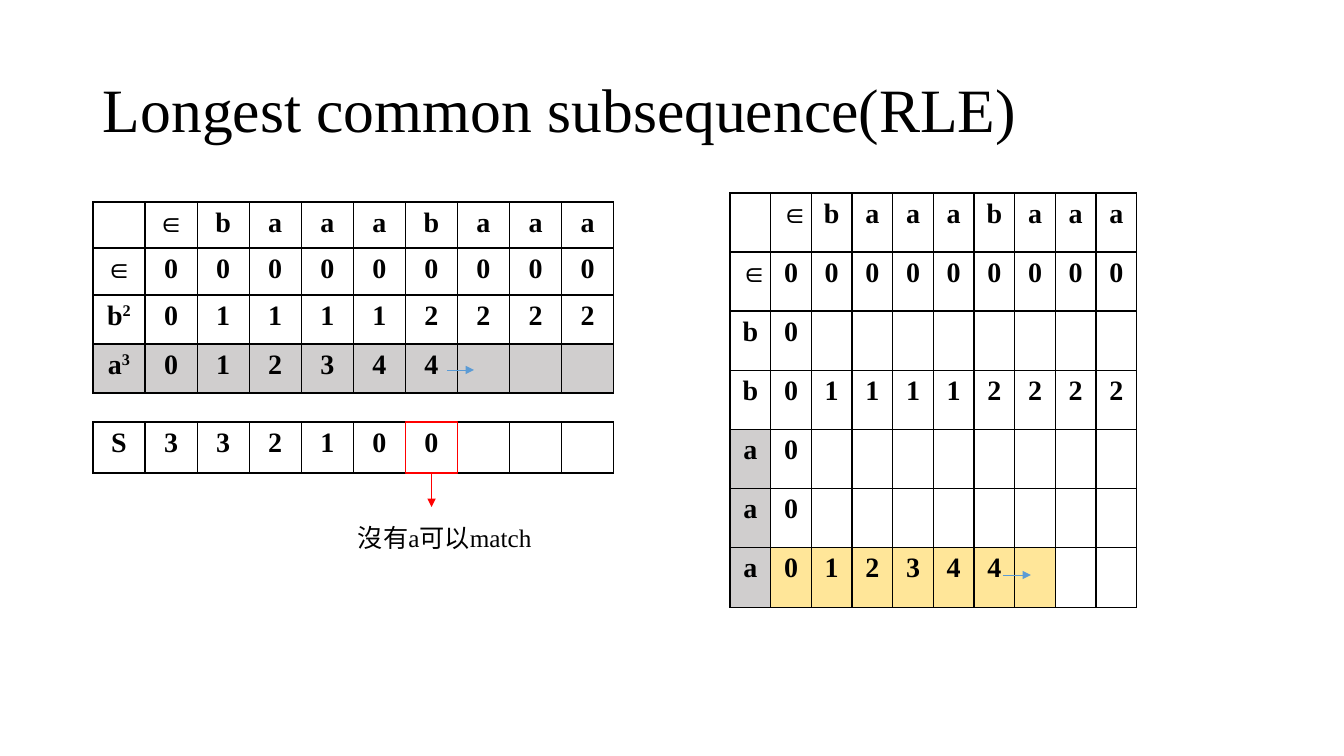
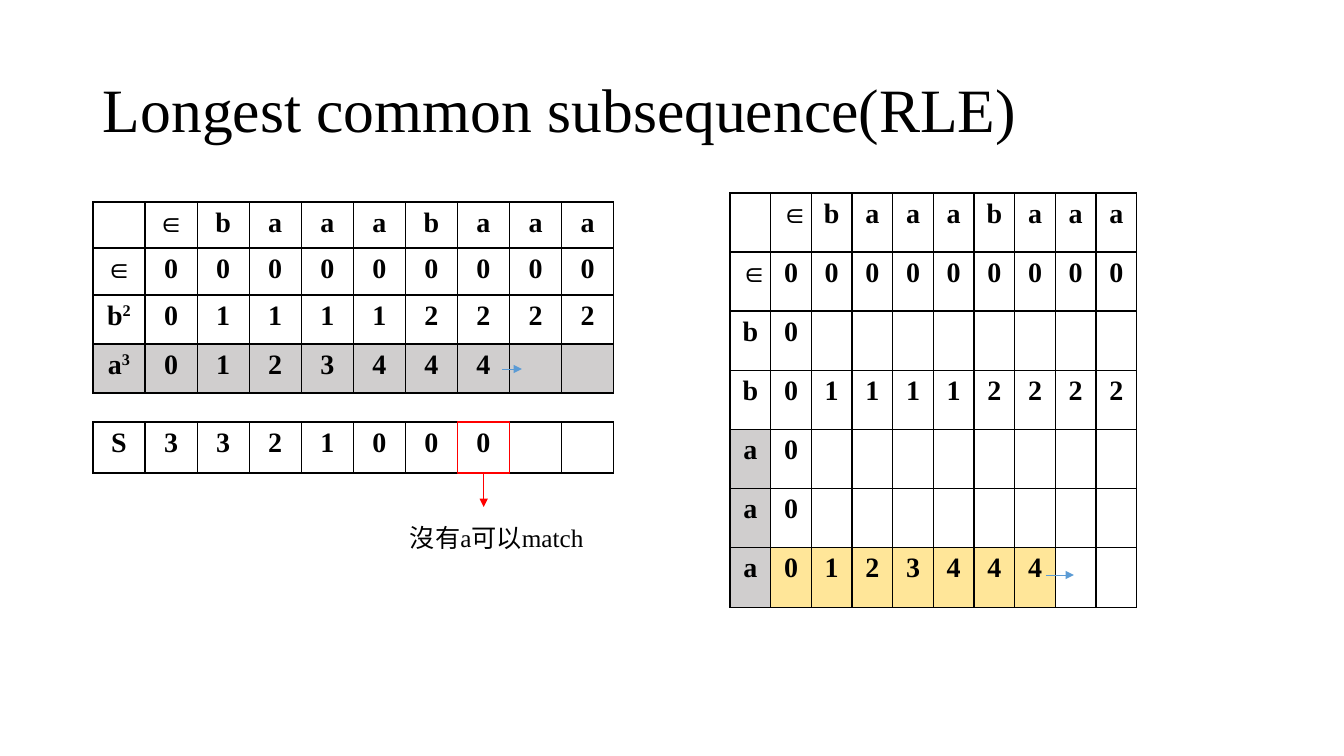
from dataclasses import dataclass
from lxml.etree import SubElement
from pptx import Presentation
from pptx.dml.color import RGBColor
from pptx.enum.shapes import MSO_CONNECTOR, MSO_SHAPE
from pptx.enum.text import MSO_ANCHOR, MSO_AUTO_SIZE, PP_ALIGN
from pptx.oxml.ns import qn
from pptx.util import Pt


@dataclass(frozen=True)
class Theme:
    font: str = "Times New Roman"
    black: str = "000000"
    gray: str = "D0CECE"
    gold: str = "FFE699"
    red: str = "FF0000"
    blue: str = "5B9BD5"
    title: int = 44
    cell: int = 20
    note: int = 18
    rule: float = 1
    thin: float = 0.5


THEME = Theme()
SIZE = (1344, 756)
SCALE = 12192000 / SIZE[0]

TITLE = "Longest common subsequence(RLE)"
NOTE = "沒有a可以match"
COLS = 10
HEAD = ["", *"∈baaabaaa"]
ZERO = [*"∈000000000"]
FULL = "011112222"

TITLE_BOX = (93, 40, 1159, 146)
RUN_GRID = (93, 202, 521)
RUN_ROWS = (46, 47, 49, 49)
SKIP_GRID = (93, 422, 521)
SKIP_ROWS = (51,)
FULL_GRID = (730, 193, 407)
FULL_ROWS = (59, 59, 60, 59, 59, 59, 60)
DROP_END = 507

SLIDES = [
    {"best": "012344", "skip": "332100", "mark": 6, "note": (348, 517, 319, 41),
     "steps": [(1003, 1031, 575), (447, 474, 370)]},
    {"best": "0123444", "skip": "3321000", "mark": 7, "note": (400, 517, 221, 41),
     "steps": [(502, 522, 369), (1046, 1074, 575)]},
]


def px(*nums):
    return [round(n * SCALE) for n in nums]


def color(code):
    return RGBColor.from_string(code)


def add_run(para, text, size, bold=False):
    run = para.add_run()
    run.text = text
    font = run.font
    font.name, font.size, font.bold = THEME.font, Pt(size), bold
    font.color.rgb = color(THEME.black)
    return run


def add_text(slide, box, text, size):
    frame = slide.shapes.add_textbox(*px(*box)).text_frame
    frame.word_wrap = True
    add_run(frame.paragraphs[0], text, size)
    return frame


def fill_cell(cell, text, tint):
    props = cell._tc.get_or_add_tcPr()
    for side in ("lnL", "lnR", "lnT", "lnB"):
        edge = SubElement(props, qn(f"a:{side}"), w=str(Pt(THEME.rule)))
        paint = SubElement(edge, qn("a:solidFill"))
        SubElement(paint, qn("a:srgbClr"), val=THEME.black)
    if tint:
        cell.fill.solid()
        cell.fill.fore_color.rgb = color(tint)
    else:
        cell.fill.background()
    para = cell.text_frame.paragraphs[0]
    para.alignment = PP_ALIGN.CENTER
    base, _, power = text.partition("^")
    if base:
        add_run(para, base, THEME.cell, True)
    if power:
        run = add_run(para, power, THEME.cell, True)
        run._r.get_or_add_rPr().set("baseline", "30000")


def add_grid(slide, spot, highs, rows, tints):
    left, top, width = spot
    box = px(left, top, width, sum(highs))
    table = slide.shapes.add_table(len(rows), COLS, *box).table
    table.first_row = table.horz_banding = False
    for col in table.columns:
        col.width = px(width / COLS)[0]
    for r, (high, texts) in enumerate(zip(highs, rows)):
        table.rows[r].height = px(high)[0]
        for c in range(COLS):
            text = texts[c] if c < len(texts) else ""
            fill_cell(table.cell(r, c), text, tints.get((r, c)))


def add_arrow(slide, start, end, hue):
    line = slide.shapes.add_connector(MSO_CONNECTOR.STRAIGHT, *px(*start, *end))
    line.line.color.rgb = color(hue)
    line.line.width = Pt(THEME.thin)
    SubElement(line.line._get_or_add_ln(), qn("a:tailEnd"), type="triangle")
    SubElement(line._element.spPr, qn("a:effectLst"))
    return line


def add_mark(slide, col):
    left, top, width = SKIP_GRID
    wide, high = width / COLS, SKIP_ROWS[0]
    x = left + col * wide
    rect = slide.shapes.add_shape(MSO_SHAPE.RECTANGLE, *px(x, top, wide, high))
    rect.shadow.inherit = False
    rect.fill.background()
    rect.line.color.rgb = color(THEME.red)
    rect.line.width = Pt(THEME.rule)
    mid = x + wide / 2
    drop = add_arrow(slide, (mid, top + high), (mid, DROP_END), THEME.red)
    drop.begin_connect(rect, 2)


def add_slide(deck, data):
    slide = deck.slides.add_slide(deck.slide_layouts[6])
    frame = add_text(slide, TITLE_BOX, TITLE, THEME.title)
    frame.vertical_anchor = MSO_ANCHOR.MIDDLE
    frame.paragraphs[0].line_spacing = 0.9

    best, skip = data["best"], data["skip"]
    runs = [HEAD, ZERO, ["b^2", *FULL], ["a^3", *best]]
    add_grid(slide, RUN_GRID, RUN_ROWS, runs, {(3, c): THEME.gray for c in range(COLS)})
    add_grid(slide, SKIP_GRID, SKIP_ROWS, ["S" + skip], {})
    rows = [HEAD, ZERO, "b0", "b" + FULL, "a0", "a0", "a" + best]
    tints = {(r, 0): THEME.gray for r in (4, 5, 6)}
    tints.update({(6, c): THEME.gold for c in range(1, 8)})
    add_grid(slide, FULL_GRID, FULL_ROWS, rows, tints)

    add_mark(slide, data["mark"])
    note = add_text(slide, data["note"], NOTE, THEME.note)
    note.auto_size = MSO_AUTO_SIZE.SHAPE_TO_FIT_TEXT
    for start, end, y in data["steps"]:
        add_arrow(slide, (start, y), (end, y), THEME.blue)


def main():
    deck = Presentation()
    deck.slide_width, deck.slide_height = px(*SIZE)
    for data in SLIDES:
        add_slide(deck, data)
    deck.save("out.pptx")


if __name__ == "__main__":
    main()
